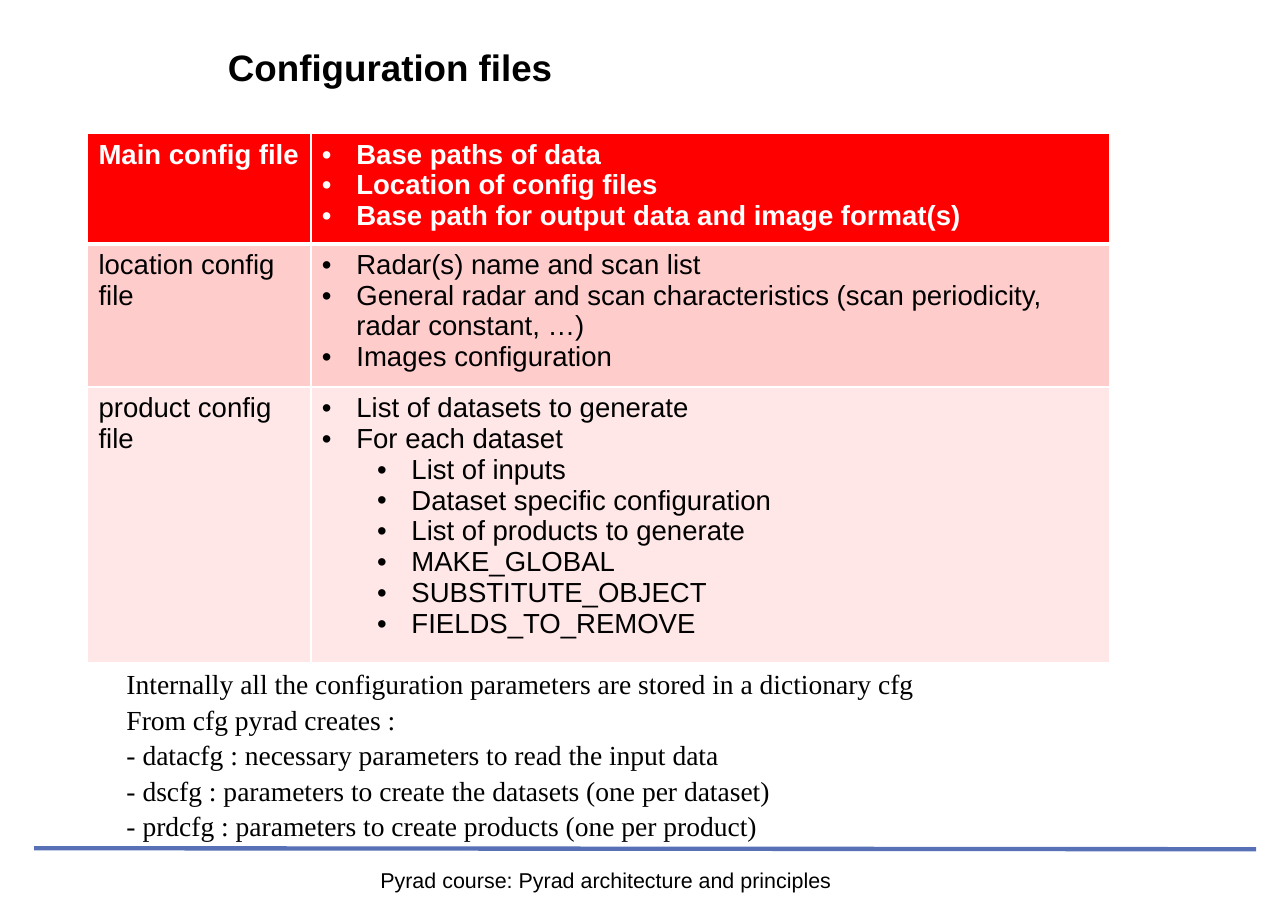
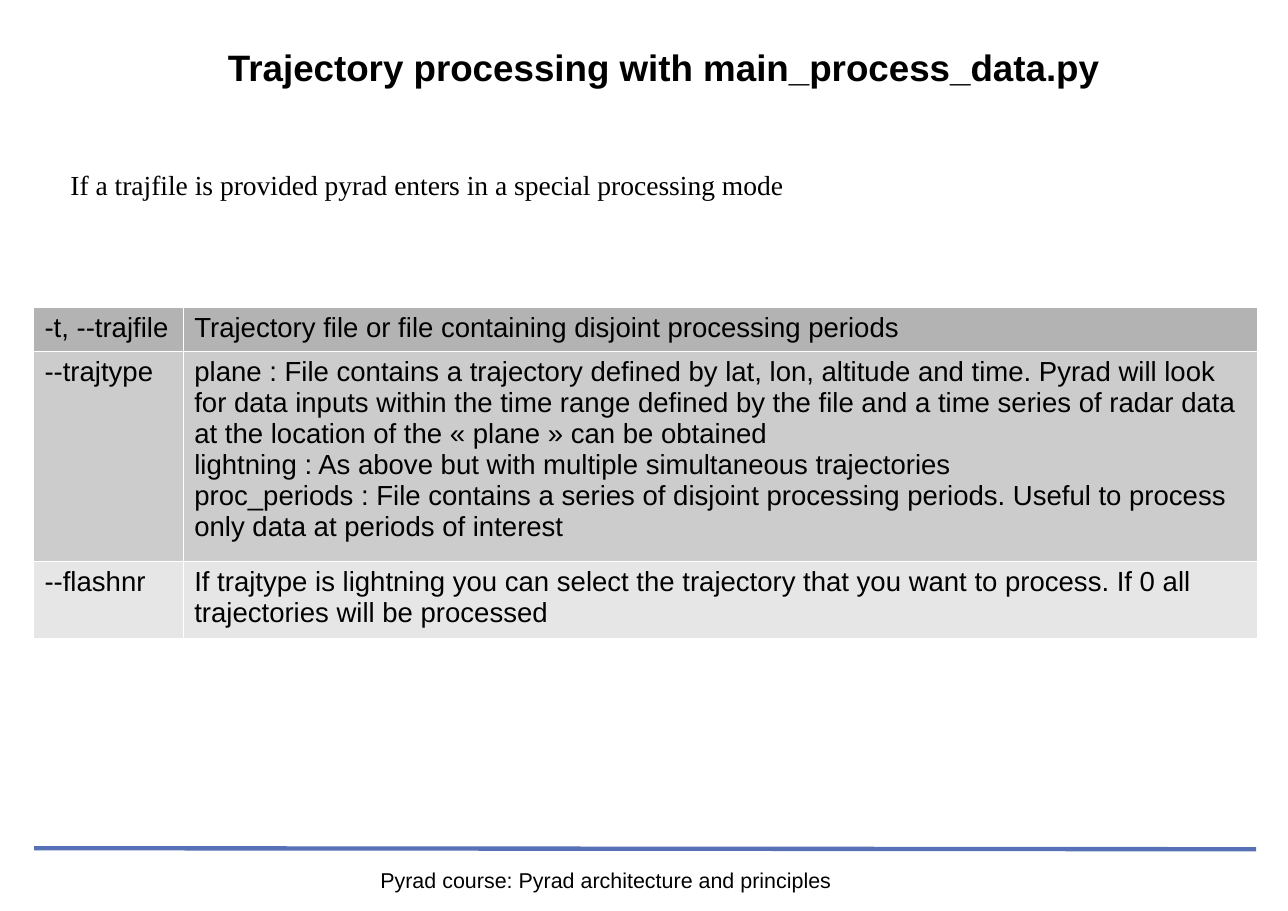
from lxml.etree import SubElement
from pptx import Presentation
from pptx.dml.color import RGBColor
from pptx.enum.shapes import MSO_CONNECTOR as Connector
from pptx.enum.text import MSO_ANCHOR as Anchor, PP_ALIGN as Align
from pptx.oxml.ns import qn
from pptx.util import Pt

BULLET_INDENT = 22.5
LEVEL_STEP = 36


def rgb(value):
    return RGBColor.from_string(value)


def add_bullet(para, level, color):
    props = para._p.get_or_add_pPr()
    props.set("marL", str(Pt(BULLET_INDENT + level * LEVEL_STEP)))
    props.set("indent", str(-Pt(BULLET_INDENT)))
    props.set("lvl", str(level))
    bullet_color = SubElement(props, qn("a:buClr"))
    SubElement(bullet_color, qn("a:srgbClr"), val=color)
    SubElement(props, qn("a:buFont"), typeface="Arial")
    SubElement(props, qn("a:buChar"), char="•")


def add_borders(cell, widths, color):
    """Draw the left, right, top and bottom border, in that order."""
    props = cell._tc.get_or_add_tcPr()
    for position, (side, width) in enumerate(zip("LRTB", widths)):
        border = props.makeelement(qn(f"a:ln{side}"), {"w": str(Pt(width))})
        fill = SubElement(border, qn("a:solidFill"))
        SubElement(fill, qn("a:srgbClr"), val=color)
        props.insert(position, border)


class Course:
    SANS, SERIF = "Arial", "Times New Roman"
    BLACK, WHITE, RULE = "000000", "FFFFFF", "5770B6"
    TITLE_SIZE, BODY_SIZE, FOOTER_SIZE = 24, 18, 14
    FOOTER = "Pyrad course: Pyrad architecture and principles"

    def __init__(self):
        self.deck = Presentation()
        self.deck.slide_width, self.deck.slide_height = Pt(841.68), Pt(595.44)
        self.page = None

    def new_page(self, title):
        self.page = self.deck.slides.add_slide(self.deck.slide_layouts[6])
        self.rule()
        heading = self.text([title], 149, 19.5, 665, 48, self.SANS,
                            self.TITLE_SIZE, bold=True, margins=(0, 0))
        heading.fill.solid()
        heading.fill.fore_color.rgb = rgb(self.WHITE)
        heading.text_frame.vertical_anchor = Anchor.MIDDLE
        self.text([self.FOOTER], 107, 566.5, 578, 28, self.SANS,
                  self.FOOTER_SIZE, align=Align.CENTER, margins=(0, 0))

    def rule(self):
        line = self.page.shapes.add_connector(
            Connector.STRAIGHT, Pt(22.3), Pt(554.4), Pt(820.8), Pt(555.1))
        line.line.color.rgb = rgb(self.RULE)
        line.line.width = Pt(2.83)
        SubElement(line._element.spPr, qn("a:effectLst"))

    def style(self, para, font, size, color, bold=False):
        para.font.name, para.font.size = font, Pt(size)
        para.font.color.rgb = rgb(color)
        para.font.bold = bold

    def text(self, lines, left, top, width, height, font, size, bold=False,
             align=Align.LEFT, margins=(7.2, 3.6), spacing=None):
        box = self.page.shapes.add_textbox(Pt(left), Pt(top), Pt(width), Pt(height))
        frame = box.text_frame
        frame.word_wrap = True
        frame.margin_left = frame.margin_right = Pt(margins[0])
        frame.margin_top = frame.margin_bottom = Pt(margins[1])
        frame.text = "\n".join(lines)
        for para in frame.paragraphs:
            para.alignment = align
            para.line_spacing = spacing
            self.style(para, font, size, self.BLACK, bold)
        return box

    def note(self, lines, left, top, width, height):
        self.text(lines, left, top, width, height, self.SERIF, self.BODY_SIZE,
                  spacing=1.08)

    def table(self, rows, left, top, widths, heights, fills, border,
              header=False, bullets=False):
        """Each row is a label and its (level, text) entries."""
        grid = self.page.shapes.add_table(
            len(rows), len(widths), Pt(left), Pt(top),
            Pt(sum(widths)), Pt(sum(heights))).table
        grid.first_row = header
        grid.horz_banding = False
        for column, width in zip(grid.columns, widths):
            column.width = Pt(width)
        for index, (label, entries) in enumerate(rows):
            grid.rows[index].height = Pt(heights[index])
            is_header = header and index == 0
            below_header = header and index == 1
            edges = (border, border, 3 if below_header else border,
                     3 if is_header else border)
            color = self.WHITE if is_header else self.BLACK
            for column, content in enumerate(([(0, label)], entries)):
                cell = grid.cell(index, column)
                cell.fill.solid()
                cell.fill.fore_color.rgb = rgb(fills[index])
                add_borders(cell, edges, self.WHITE)
                cell.text = "\n".join(words for _, words in content)
                for para, (level, _) in zip(cell.text_frame.paragraphs, content):
                    if bullets and column == 1:
                        add_bullet(para, level, color)
                    self.style(para, self.SANS, self.BODY_SIZE, color, is_header)


def configuration_page(course):
    course.new_page("Configuration files")
    course.table(
        [("Main config file", [
            (0, "Base paths of data"),
            (0, "Location of config files"),
            (0, "Base path for output data and image format(s)")]),
         ("location config file", [
            (0, "Radar(s) name and scan list"),
            (0, "General radar and scan characteristics "
                "(scan periodicity, radar constant, …)"),
            (0, "Images configuration")]),
         ("product config file", [
            (0, "List of datasets to generate"),
            (0, "For each dataset"),
            (1, "List of inputs"),
            (1, "Dataset specific configuration"),
            (1, "List of products to generate"),
            (1, "MAKE_GLOBAL"),
            (1, "SUBSTITUTE_OBJECT"),
            (1, "FIELDS_TO_REMOVE")])],
        57.2, 87.3, (146, 522), (72, 93.5, 179.5),
        ("FF0000", "FFCCCC", "FFE7E7"), 0.96, header=True, bullets=True)
    course.note(
        ["Internally all the configuration parameters are stored in a dictionary cfg",
         "From cfg pyrad creates :",
         "- datacfg : necessary parameters to read the input data",
         "- dscfg : parameters to create the datasets (one per dataset)",
         "- prdcfg : parameters to create products (one per product)"],
        75.6, 430.6, 534, 106.5)


def trajectory_page(course):
    course.new_page("Trajectory processing with main_process_data.py")
    course.table(
        [("-t, --trajfile", [
            (0, "Trajectory file or file containing disjoint processing periods")]),
         ("--trajtype", [
            (0, "plane : File contains a trajectory defined by lat, lon, altitude "
                "and time. Pyrad will look for data inputs within the time range "
                "defined by the file and a time series of radar data at the "
                "location of the « plane » can be obtained"),
            (0, "lightning : As above but with multiple simultaneous trajectories"),
            (0, "proc_periods : File contains a series of disjoint processing "
                "periods. Useful to process only data at periods of interest")]),
         ("--flashnr", [
            (0, "If trajtype is lightning you can select the trajectory that you "
                "want to process. If 0 all trajectories will be processed")])],
        21.9, 200.9, (97.9, 702), (28, 136.5, 50.3),
        ("B3B3B3", "CCCCCC", "E6E6E6"), 0.06)
    course.note(["If a trajfile is provided pyrad enters in a special processing mode"],
                38.9, 104.4, 486, 27.4)


def main():
    course = Course()
    configuration_page(course)
    trajectory_page(course)
    course.deck.save("out.pptx")


if __name__ == "__main__":
    main()
